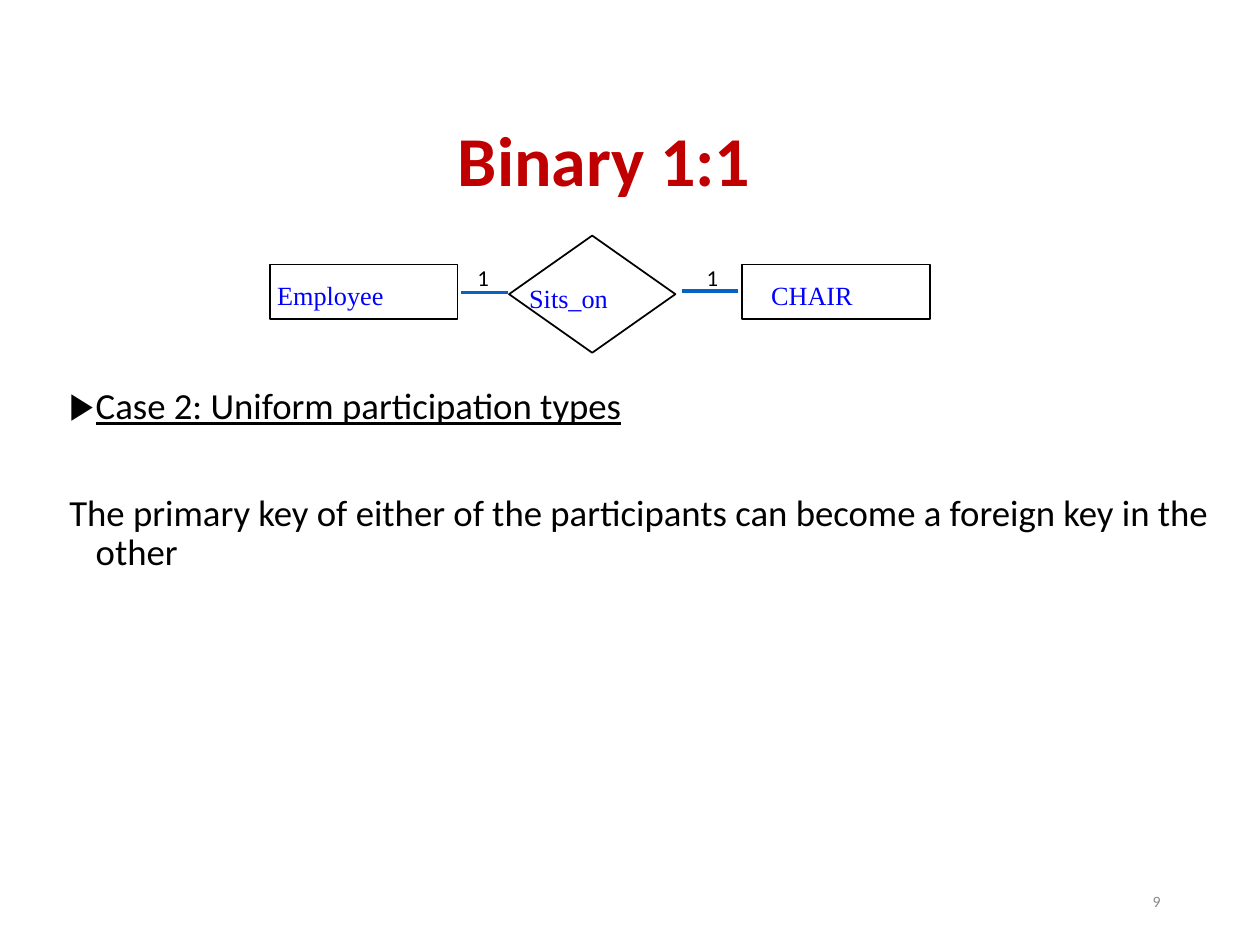
from lxml import etree
from pptx import Presentation
from pptx.dml.color import RGBColor
from pptx.enum.shapes import MSO_CONNECTOR, MSO_SHAPE
from pptx.enum.text import MSO_ANCHOR, MSO_AUTO_SIZE, PP_ALIGN
from pptx.oxml.ns import qn
from pptx.util import Inches, Pt

RECTANGLE, DIAMOND = MSO_SHAPE.RECTANGLE, MSO_SHAPE.DIAMOND
STRAIGHT = MSO_CONNECTOR.STRAIGHT
TOP, MIDDLE = MSO_ANCHOR.TOP, MSO_ANCHOR.MIDDLE
LEFT, CENTER, RIGHT = PP_ALIGN.LEFT, PP_ALIGN.CENTER, PP_ALIGN.RIGHT
NO_AUTOFIT = MSO_AUTO_SIZE.NONE

BLACK = RGBColor(0x00, 0x00, 0x00)
RED = RGBColor(0xC0, 0x00, 0x00)
BLUE = RGBColor(0x00, 0x00, 0xFF)
LINK_BLUE = RGBColor(0x05, 0x63, 0xC1)
GRAY = RGBColor(0x89, 0x89, 0x89)


def place(shape, left, top, width, height):
    shape.left, shape.top = Inches(left), Inches(top)
    shape.width, shape.height = Inches(width), Inches(height)


def format_text(paragraph, text, size, color, name="Calibri", **extra):
    paragraph.text = text
    values = {"size": Pt(size), "name": name, "bold": False, **extra}
    for attribute, value in values.items():
        setattr(paragraph.font, attribute, value)
    paragraph.font.color.rgb = color


presentation = Presentation()
presentation.slide_width, presentation.slide_height = Inches(10), Inches(7.5)
slide = presentation.slides.add_slide(presentation.slide_layouts[1])
shapes = slide.shapes

title = shapes.title
place(title, 0.48, 1.02, 8.63, 0.56)
title.text_frame.auto_size = NO_AUTOFIT
title.text_frame.vertical_anchor = MIDDLE
heading = title.text_frame.paragraphs[0]
heading.alignment, heading.line_spacing = CENTER, 0.9
format_text(heading, "Binary 1:1", 40, RED, bold=True)

body = slide.placeholders[1]
place(body, 0.36, 3.03, 9.33, 3.13)
body_frame = body.text_frame
body_frame.auto_size = NO_AUTOFIT
body_frame.vertical_anchor = TOP
body_frame.margin_right = Inches(0)
body_lines = [
    ("Case 2: Uniform participation types", True, 0),
    ("The primary key of either of the participants can become a foreign key in the other", False, 38),
]
for index, (text, is_case, space_before) in enumerate(body_lines):
    paragraph = body_frame.add_paragraph() if index else body_frame.paragraphs[0]
    properties = paragraph._p.get_or_add_pPr()
    properties.set("marL", str(Inches(0.3)))
    properties.set("indent", str(Inches(-0.21)))
    if is_case:
        bullet_color = etree.SubElement(properties, qn("a:buClr"))
        etree.SubElement(bullet_color, qn("a:srgbClr"), val=str(BLACK))
        etree.SubElement(properties, qn("a:buChar"), char="▶")
    else:
        etree.SubElement(properties, qn("a:buNone"))
    paragraph.line_spacing, paragraph.space_before = 0.9, Pt(space_before)
    format_text(paragraph, text, 21, BLACK, underline=is_case)

diagram_shapes = [
    (RECTANGLE, 2.14, 2.1, 1.49, 0.43),
    (RECTANGLE, 5.89, 2.1, 1.49, 0.43),
    (DIAMOND, 4.04, 1.87, 1.32, 0.93),
]
for kind, *position in diagram_shapes:
    shape = shapes.add_shape(kind, *map(Inches, position))
    shape.shadow.inherit = False
    shape.fill.background()
    shape.line.color.rgb = BLACK
    shape.line.width = Pt(1)

for start, end, y in [(3.66, 4.03, 2.32), (5.41, 5.86, 2.31)]:
    connector = shapes.add_connector(STRAIGHT, Inches(start), Inches(y), Inches(end), Inches(y))
    connector.line.color.rgb = LINK_BLUE
    connector.line.width = Pt(2)
    etree.SubElement(connector._element.spPr, qn("a:effectLst"))

entity = {"size": 15, "color": BLUE, "name": "Times New Roman"}
cardinality = {"size": 13, "color": BLACK}
page_number = {"size": 9, "color": GRAY}
labels = [
    ("Employee", (2.12, 2.18, 1.1, 0.33), entity, 0.08, LEFT, TOP),
    ("CHAIR", (6.04, 2.18, 1.6, 0.33), entity, 0.08, LEFT, TOP),
    ("Sits_on", (4.12, 2.2, 0.9, 0.33), entity, 0.08, LEFT, TOP),
    ("1", (3.69, 2.04, 0.28, 0.32), cardinality, 0.1, LEFT, TOP),
    ("1", (5.51, 2.04, 0.28, 0.32), cardinality, 0.1, LEFT, TOP),
    ("9", (7.06, 6.95, 2.25, 0.4), page_number, 0.1, RIGHT, MIDDLE),
]
for text, position, style, inset, alignment, anchor in labels:
    frame = shapes.add_textbox(*map(Inches, position)).text_frame
    frame_values = {
        "word_wrap": True,
        "vertical_anchor": anchor,
        "margin_left": Inches(inset),
        "margin_right": Inches(inset),
        "margin_top": Inches(inset / 2),
        "margin_bottom": Inches(inset / 2),
    }
    for attribute, value in frame_values.items():
        setattr(frame, attribute, value)
    frame.paragraphs[0].alignment = alignment
    format_text(frame.paragraphs[0], text, **style)

presentation.save("out.pptx")
